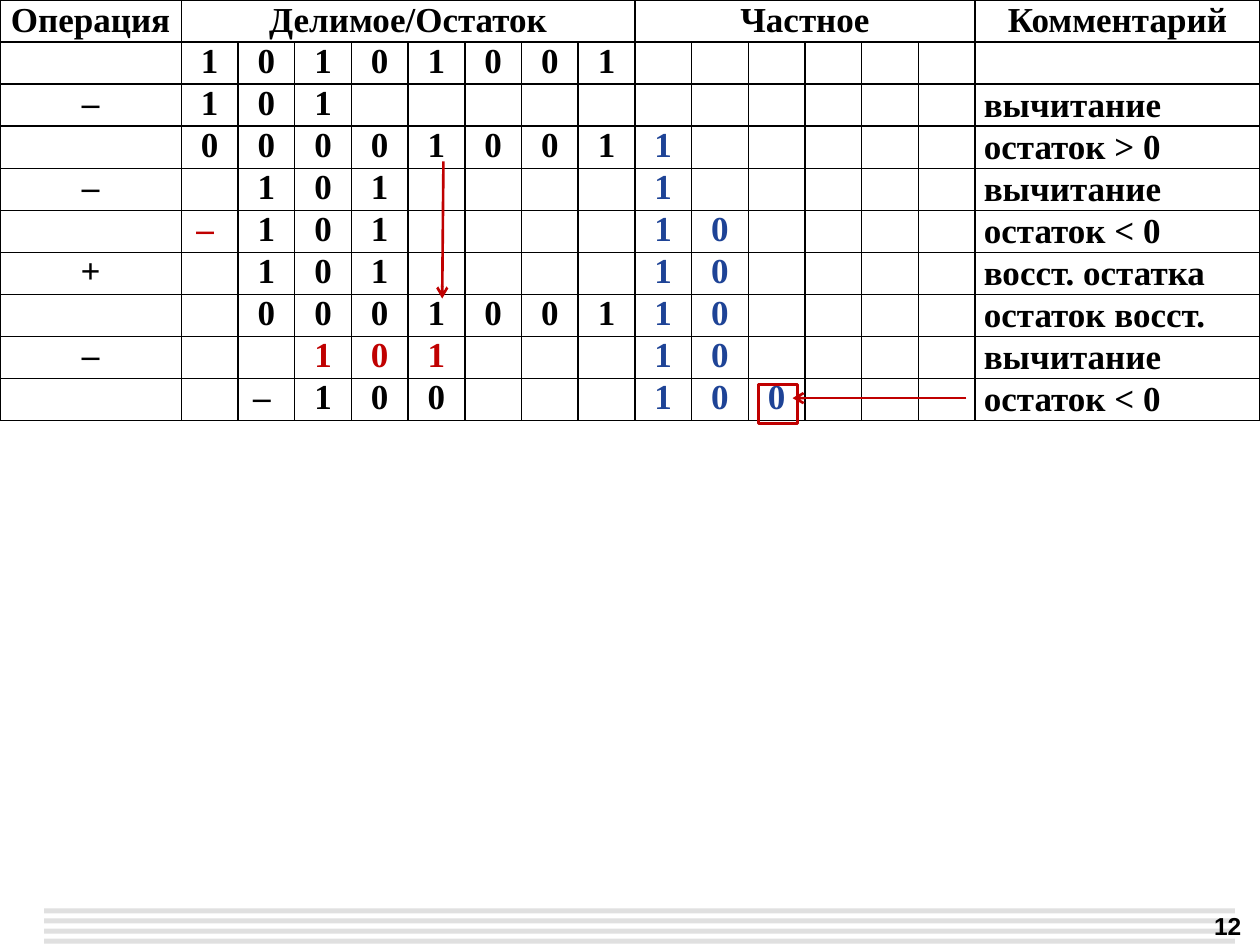
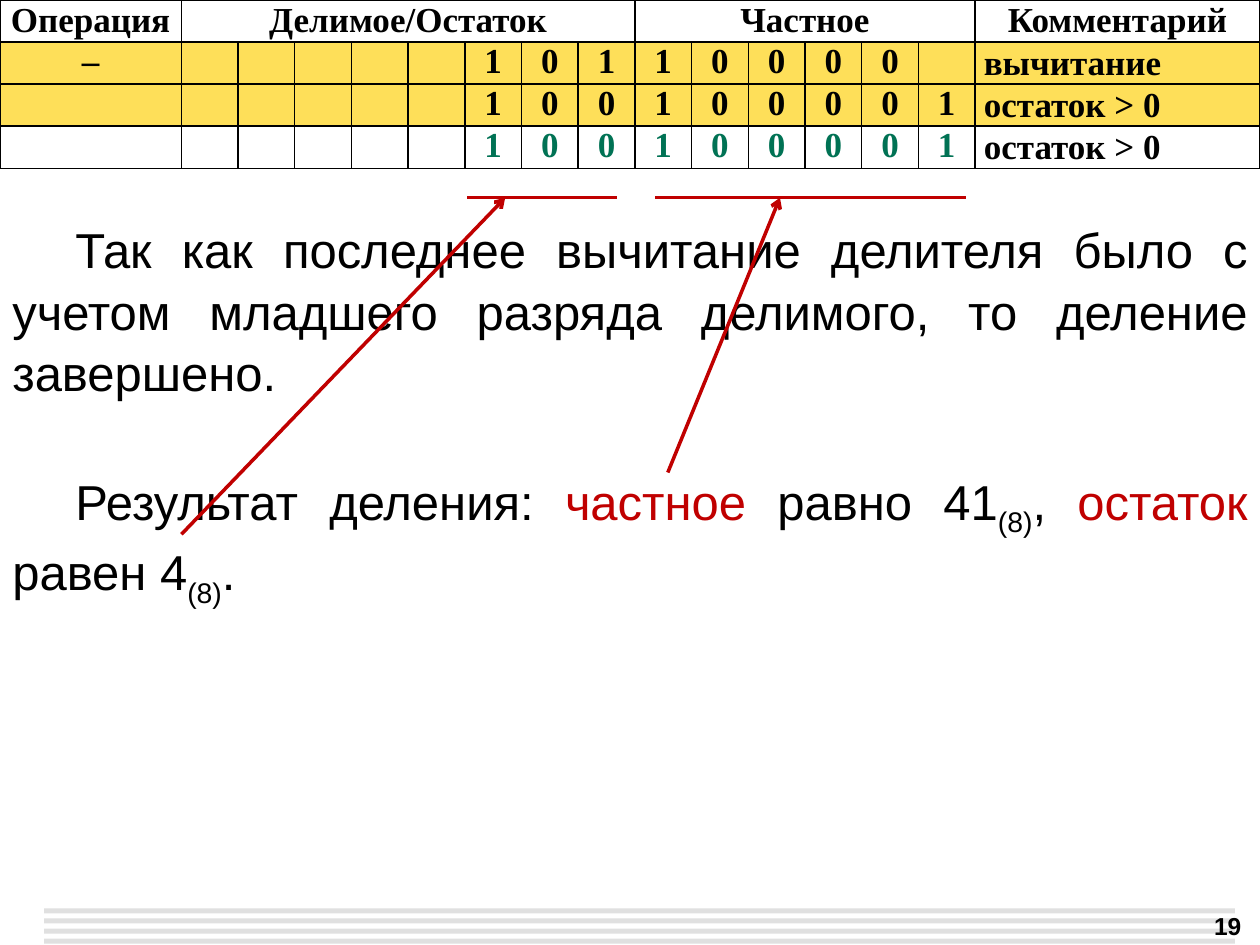
import dataclasses

import pptx
import pptx.dml.color
import pptx.enum.shapes
import pptx.enum.text
import pptx.oxml
import pptx.oxml.ns
import pptx.slide
import pptx.util

Pt = pptx.util.Pt
Align = pptx.enum.text.PP_ALIGN
Anchor = pptx.enum.text.MSO_ANCHOR

BLACK, WHITE, GREY = "000000", "FFFFFF", "E0E0E0"
RED, BLUE, GREEN, YELLOW = "C00000", "1E4396", "007254", "FEDF59"
BODY_FONT, TABLE_FONT = "Arial", "Times New Roman"

SLIDE_W, SLIDE_H = 720, 540
REMAINDER_BITS, QUOTIENT_BITS = 8, 6
OPERATION_W, BIT_W, ROW_H = 103.6, 32.4, 24
COMMENT_COL = 1 + REMAINDER_BITS + QUOTIENT_BITS
COMMENT_W = SLIDE_W - OPERATION_W - BIT_W * (REMAINDER_BITS + QUOTIENT_BITS)
UNDERLINE_Y = 113


@dataclasses.dataclass(frozen=True)
class Step:
    """One row of the division; a space in a bit string is an empty cell."""
    operation: str
    remainder: str
    quotient: str
    comment: str
    quotient_color: str = BLUE
    remainder_color: str = BLACK
    sign_color: str = BLACK
    fill: str | None = None


@dataclasses.dataclass(frozen=True)
class Line:
    x1: float
    y1: float
    x2: float
    y2: float
    width: float = 2
    arrow: bool = True


@dataclasses.dataclass(frozen=True)
class Run:
    text: str
    color: str = BLACK
    subscript: bool = False


FIRST_STEPS = [
    Step("", "10101001", "", ""),
    Step("–", "101", "", "вычитание"),
    Step("", "00001001", "1", "остаток > 0"),
    Step("–", " 101", "1", "вычитание"),
    Step("", "–101", "10", "остаток < 0", sign_color=RED),
    Step("+", " 101", "10", "восст. остатка"),
    Step("", " 0001001", "10", "остаток восст."),
    Step("–", "  101", "10", "вычитание", remainder_color=RED),
    Step("", " –100", "100", "остаток < 0"),
]
FIRST_ARROWS = [
    Line(552.2, 227.5, 452.9, 227.5, 1.5),
    Line(253.4, 92.2, 252.7, 170.6, 1.5),
]

LAST_STEPS = [
    Step("–", "     101", "10000", "вычитание", BLACK, fill=YELLOW),
    Step("", "     100", "100001", "остаток > 0", BLACK, fill=YELLOW),
    Step("", "     100", "100001", "остаток > 0", GREEN, GREEN),
]
RESULT_LINES = [
    Line(381.6, 270, 445.7, UNDERLINE_Y),
    Line(103.7, 305.3, 288.7, UNDERLINE_Y),
    Line(267.1, UNDERLINE_Y, 352.8, UNDERLINE_Y, arrow=False),
    Line(374.4, UNDERLINE_Y, 552.2, UNDERLINE_Y, arrow=False),
]
CONCLUSION = [
    [Run("Так как последнее вычитание делителя было с учетом младшего "
         "разряда делимого, то деление завершено.")],
    [Run("Результат деления: "), Run("частное", RED), Run(" равно 41"),
     Run("(8)", subscript=True), Run(", "), Run("остаток", RED),
     Run(" равен 4"), Run("(8)", subscript=True), Run(".")],
]


def rgb(color: str) -> pptx.dml.color.RGBColor:
    return pptx.dml.color.RGBColor.from_string(color)


def style_font(font, name: str, size: float, color: str, bold: bool = False) -> None:
    font.name, font.size, font.bold = name, Pt(size), bold
    font.color.rgb = rgb(color)


def add_rect(s: pptx.slide.Slide, x: float, y: float, w: float, h: float,
             fill: str | None = None, line: str | None = None) -> None:
    sp = s.shapes.add_shape(pptx.enum.shapes.MSO_SHAPE.RECTANGLE,
                            Pt(x), Pt(y), Pt(w), Pt(h))
    sp.shadow.inherit = False
    if fill:
        sp.fill.solid()
        sp.fill.fore_color.rgb = rgb(fill)
    else:
        sp.fill.background()
    if line:
        sp.line.color.rgb = rgb(line)
        sp.line.width = Pt(2)
    else:
        sp.line.fill.background()


def add_line(s: pptx.slide.Slide, line: Line) -> None:
    c = s.shapes.add_connector(pptx.enum.shapes.MSO_CONNECTOR.STRAIGHT,
                               Pt(line.x1), Pt(line.y1), Pt(line.x2), Pt(line.y2))
    c.line.color.rgb = rgb(RED)
    c.line.width = Pt(line.width)
    if line.arrow:
        ln = c.line._get_or_add_ln()
        ln.append(pptx.oxml.parse_xml(
            f'<a:tailEnd {pptx.oxml.ns.nsdecls("a")} type="arrow"/>'))
    c._element.spPr.append(pptx.oxml.parse_xml(
        f'<a:effectLst {pptx.oxml.ns.nsdecls("a")}/>'))


def add_borders(cell) -> None:
    tcPr = cell._tc.get_or_add_tcPr()
    for i, side in enumerate("LRTB"):
        tcPr.insert(i, pptx.oxml.parse_xml(
            f'<a:ln{side} {pptx.oxml.ns.nsdecls("a")} w="{Pt(1)}"><a:solidFill>'
            f'<a:srgbClr val="{BLACK}"/></a:solidFill></a:ln{side}>'))


def fill_cell(cell, text: str, color: str = BLACK, fill: str | None = None,
              align=Align.CENTER, anchor=Anchor.TOP) -> None:
    cell.margin_left = cell.margin_right = Pt(5)
    cell.margin_top = cell.margin_bottom = Pt(0)
    cell.vertical_anchor = anchor
    if fill:
        cell.fill.solid()
        cell.fill.fore_color.rgb = rgb(fill)
    else:
        cell.fill.background()
    add_borders(cell)
    p = cell.text_frame.paragraphs[0]
    p.alignment = align
    p.space_after = Pt(2)
    style_font(p.font, TABLE_FONT, 20, color, bold=True)
    if text:
        r = p.add_run()
        r.text = text
        style_font(r.font, TABLE_FONT, 20, color, bold=True)
    else:
        p._p.get_or_add_endParaRPr().set("sz", "2000")


def add_division_table(s: pptx.slide.Slide, steps: list[Step]) -> None:
    rows = len(steps) + 1
    tbl = s.shapes.add_table(rows, COMMENT_COL + 1, 0, 0,
                             Pt(SLIDE_W), Pt(ROW_H * rows)).table
    tbl.first_row = tbl.horz_banding = False
    for row in tbl.rows:
        row.height = Pt(ROW_H)
    for i, col in enumerate(tbl.columns):
        col.width = Pt({0: OPERATION_W, COMMENT_COL: COMMENT_W}.get(i, BIT_W))

    quotient_col = 1 + REMAINDER_BITS
    headers = {0: "Операция", 1: "Делимое/Остаток",
               quotient_col: "Частное", COMMENT_COL: "Комментарий"}
    for i in range(COMMENT_COL + 1):
        fill_cell(tbl.cell(0, i), headers.get(i, ""), anchor=Anchor.MIDDLE)
    tbl.cell(0, 1).merge(tbl.cell(0, quotient_col - 1))
    tbl.cell(0, quotient_col).merge(tbl.cell(0, COMMENT_COL - 1))

    for y, step in enumerate(steps, 1):
        fill_cell(tbl.cell(y, 0), step.operation, fill=step.fill)
        for x, bit in enumerate(step.remainder.ljust(REMAINDER_BITS), 1):
            is_sign = bit == "–"
            fill_cell(tbl.cell(y, x), "– " if is_sign else bit.strip(),
                      step.sign_color if is_sign else step.remainder_color, step.fill)
        for x, bit in enumerate(step.quotient.ljust(QUOTIENT_BITS), quotient_col):
            fill_cell(tbl.cell(y, x), bit.strip(), step.quotient_color, step.fill)
        fill_cell(tbl.cell(y, COMMENT_COL), step.comment, fill=step.fill,
                  align=Align.LEFT, anchor=Anchor.MIDDLE)


def add_conclusion(s: pptx.slide.Slide) -> None:
    tf = s.shapes.add_textbox(0, Pt(120.2), Pt(SLIDE_W), Pt(214.6)).text_frame
    tf.word_wrap = True
    for i, runs in enumerate(CONCLUSION):
        p = tf.add_paragraph() if i else tf.paragraphs[0]
        p.alignment = Align.JUSTIFY
        p.line_spacing = 1.05
        p.space_before, p.space_after = Pt(36 if i else 0), Pt(2)
        p._p.get_or_add_pPr().set("indent", str(Pt(36)))
        for run in runs:
            r = p.add_run()
            r.text = run.text
            style_font(r.font, BODY_FONT, 28, run.color)
            if run.subscript:
                r.font._element.set("baseline", "-25000")


def add_slide(prs, number: int) -> pptx.slide.Slide:
    """Add a blank slide with the striped footer and its page number."""
    s = prs.slides.add_slide(prs.slide_layouts[6])
    s.background.fill.solid()
    s.background.fill.fore_color.rgb = rgb(WHITE)
    for i in range(4):
        add_rect(s, 25.2, 519.1 + 5.76 * i, 680.4, 2.9, fill=GREY)
    tf = s.shapes.add_textbox(Pt(557.3), Pt(517), Pt(159.1), Pt(23.8)).text_frame
    tf.word_wrap = True
    p = tf.paragraphs[0]
    p.alignment = Align.RIGHT
    r = p.add_run()
    r.text = str(number)
    style_font(r.font, BODY_FONT, 14, BLACK, bold=True)
    return s


def main() -> None:
    prs = pptx.Presentation()
    prs.slide_width, prs.slide_height = Pt(SLIDE_W), Pt(SLIDE_H)

    s = add_slide(prs, 12)
    add_division_table(s, FIRST_STEPS)
    for arrow in FIRST_ARROWS:
        add_line(s, arrow)
    add_rect(s, 433.4, 219.6, 22.3, 22.3, line=RED)

    s = add_slide(prs, 19)
    add_division_table(s, LAST_STEPS)
    add_conclusion(s)
    for line in RESULT_LINES:
        add_line(s, line)

    prs.save("out.pptx")


if __name__ == "__main__":
    main()
